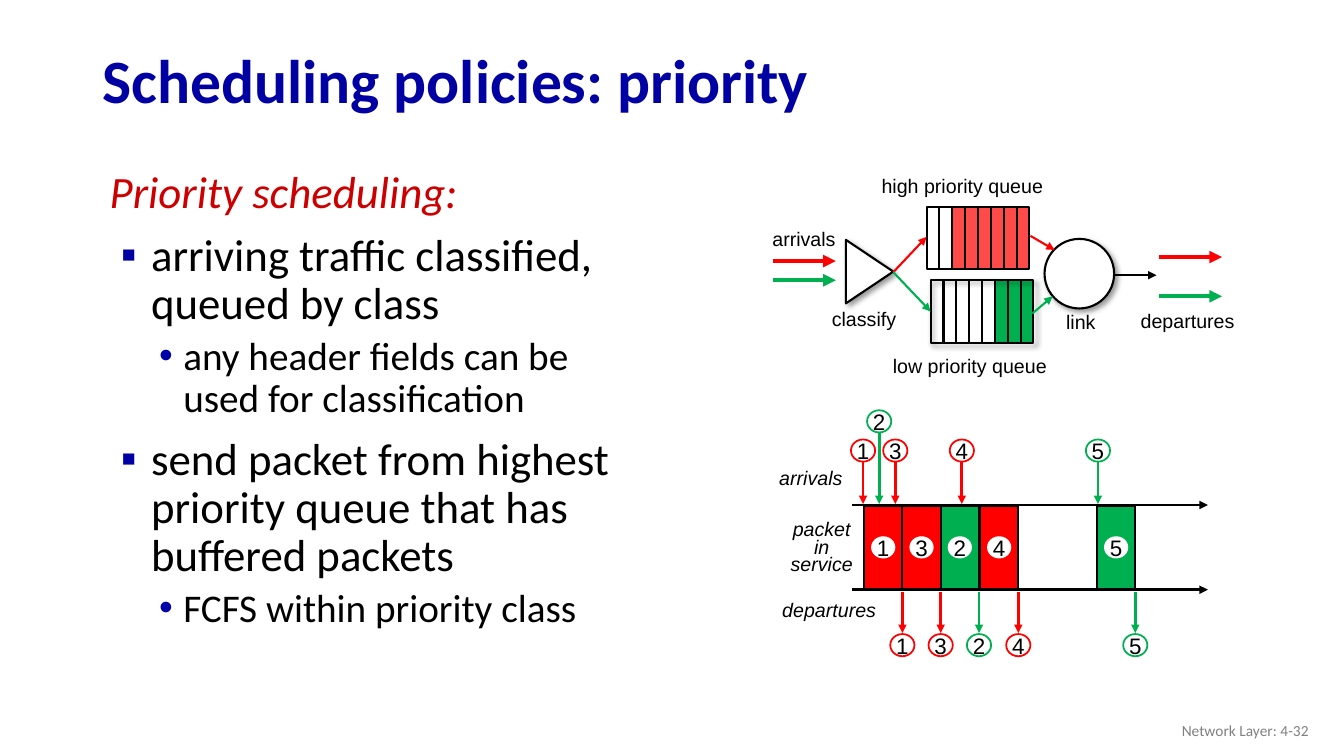
import dataclasses

import lxml.etree
import pptx
import pptx.dml.color
import pptx.enum.shapes
import pptx.enum.text
import pptx.oxml.ns
import pptx.util

PX = 9144  # one hundredth of an inch
KIND = pptx.enum.shapes.MSO_SHAPE
ALIGN = pptx.enum.text.PP_ALIGN
ANCHOR = pptx.enum.text.MSO_ANCHOR


@dataclasses.dataclass(frozen=True)
class Theme:
    heading_font: str = "Calibri"
    diagram_font: str = "Arial"
    title: str = "0000A3"
    subbullet: str = "0000A8"
    accent: str = "CC0000"
    ink: str = "000000"
    paper: str = "FFFFFF"
    footer: str = "808080"
    high: str = "FF0000"
    low: str = "00B050"
    title_size: int = 44
    body_size: int = 32
    subbody_size: int = 28
    label_size: int = 14
    number_size: int = 16
    footer_size: int = 11


THEME = Theme()


def rgb(code):
    return pptx.dml.color.RGBColor.from_string(code)


def add_xml(parent, tag, **attributes):
    return lxml.etree.SubElement(parent, pptx.oxml.ns.qn(tag), attributes)


def write(para, text, size, color, font, bold=False, italic=False):
    span = para.add_run()
    span.text = text
    span.font.size = pptx.util.Pt(size)
    span.font.name = font
    span.font.color.rgb = rgb(color)
    span.font.bold = bold
    span.font.italic = italic


@dataclasses.dataclass
class Region:
    """Places parts at px offsets from the top left corner of its box."""
    shapes: object
    left: int
    top: int
    width: int
    height: int

    def emu(self, x, y):
        return round((self.left + x) * PX), round((self.top + y) * PX)

    def shape(self, kind, x, y, width, height, fill=None, line=None, weight=1.5, shadow=False):
        shape = self.shapes.add_shape(kind, *self.emu(x, y), round(width * PX), round(height * PX))
        shape.shadow.inherit = False
        if fill:
            shape.fill.solid()
            shape.fill.fore_color.rgb = rgb(fill)
        else:
            shape.fill.background()
        if line:
            shape.line.color.rgb = rgb(line)
            shape.line.width = pptx.util.Pt(weight)
        else:
            shape.line.fill.background()
        if shadow:
            effects = shape._element.spPr.find(pptx.oxml.ns.qn("a:effectLst"))
            outer = add_xml(effects, "a:outerShdw", blurRad="50800", dist="38100",
                            dir="2700000", algn="tl", rotWithShape="0")
            color = add_xml(outer, "a:srgbClr", val=THEME.ink)
            add_xml(color, "a:alpha", val="40000")
        return shape

    def line(self, start, end, color, weight=1.5, arrow=True):
        line = self.shapes.add_connector(pptx.enum.shapes.MSO_CONNECTOR.STRAIGHT,
                                         *self.emu(*start), *self.emu(*end))
        line.line.color.rgb = rgb(color)
        line.line.width = pptx.util.Pt(weight)
        if arrow:
            add_xml(line.line._get_or_add_ln(), "a:tailEnd", type="triangle")
        add_xml(line._element.spPr, "a:effectLst")

    def frame(self, x=0, y=0, width=None, height=None, wrap=True, anchor=ANCHOR.TOP):
        box = self.shapes.add_textbox(*self.emu(x, y), (width or self.width) * PX,
                                      (height or self.height) * PX)
        box.text_frame.word_wrap = wrap
        box.text_frame.vertical_anchor = anchor
        return box.text_frame

    def label(self, text, x, y, width, align=ALIGN.CENTER, italic=False):
        para = self.frame(x, y, width, 34, wrap=False).paragraphs[0]
        para.alignment = align
        write(para, text, THEME.label_size, THEME.ink, THEME.diagram_font, italic=italic)

    def packet_number(self, number, center, top, line=None):
        disc = self.shape(KIND.OVAL, center - 12, top, 24, 22, THEME.paper, line, 1.25)
        frame = disc.text_frame
        frame.margin_left = frame.margin_right = frame.margin_top = frame.margin_bottom = 0
        frame.word_wrap = False
        frame.vertical_anchor = ANCHOR.MIDDLE
        para = frame.paragraphs[0]
        para.alignment = ALIGN.CENTER
        write(para, str(number), THEME.number_size, THEME.ink, THEME.diagram_font)


def draw_title(region, text):
    para = region.frame(anchor=ANCHOR.MIDDLE).paragraphs[0]
    para.line_spacing = 0.9
    write(para, text, THEME.title_size, THEME.title, THEME.heading_font, bold=True)


def draw_bullets(region, items):
    """Items are (level, text); level None is the italic lead line."""
    styles = {None: (39, -24, 10, THEME.body_size, THEME.accent, None, None),
              0: (56, -30, 10, THEME.body_size, THEME.ink, "▪", THEME.title),
              1: (88, -24, 5, THEME.subbody_size, THEME.ink, "•", THEME.subbullet)}
    frame = region.frame()
    for index, (level, text) in enumerate(items):
        indent, hanging, space, size, color, bullet, bullet_color = styles[level]
        para = frame.add_paragraph() if index else frame.paragraphs[0]
        para.level = level or 0
        para.line_spacing = 0.9
        para.space_before = pptx.util.Pt(space)
        properties = para._p.get_or_add_pPr()
        properties.set("marL", str(indent * PX))
        properties.set("indent", str(hanging * PX))
        if bullet:
            add_xml(add_xml(properties, "a:buClr"), "a:srgbClr", val=bullet_color)
            add_xml(properties, "a:buFont", typeface=THEME.diagram_font)
            add_xml(properties, "a:buChar", char=bullet)
        else:
            add_xml(properties, "a:buNone")
        write(para, text, size, color, THEME.heading_font, italic=level is None)


def draw_queue(region, color, waiting, opacity=100, shadow=False):
    """A buffer of eight cells, the last ones filled with waiting packets."""
    cells = 8
    step = region.width / cells
    packets = region.shape(KIND.RECTANGLE, (cells - waiting) * step, 0,
                           waiting * step, region.height, color)
    fill = packets._element.spPr.find(".//" + pptx.oxml.ns.qn("a:srgbClr"))
    add_xml(fill, "a:alpha", val=str(opacity * 1000))
    region.shape(KIND.RECTANGLE, 0, 0, region.width, region.height,
                 line=THEME.ink, shadow=shadow)
    for cell in range(1, cells):
        region.line((cell * step, 0), (cell * step, region.height), THEME.ink, arrow=False)


def draw_scheduler(region):
    left, top = region.left, region.top
    draw_queue(Region(region.shapes, left + 163, top + 108, 102, 62), THEME.low, 3, shadow=True)
    draw_queue(Region(region.shapes, left + 159, top + 35, 102, 62), THEME.high, 6, opacity=71)
    classifier = region.shape(KIND.ISOSCELES_TRIANGLE, 71, 76, 63, 47,
                              THEME.paper, THEME.ink, shadow=True)
    classifier.rotation = 90
    region.shape(KIND.OVAL, 276, 67, 69, 69, THEME.paper, THEME.ink, shadow=True)
    for start, end, color in (((126, 100), (159, 65), THEME.high),
                              ((126, 100), (163, 139), THEME.low),
                              ((262, 64), (286, 78), THEME.high),
                              ((264, 141), (284, 124), THEME.low),
                              ((345, 103), (387, 103), THEME.ink)):
        region.line(start, end, color)
    for x, y, color in ((7, 89, THEME.high), (7, 108, THEME.low),
                        (390, 85, THEME.high), (390, 124, THEME.low)):
        region.line((x, y), (x + 62, y), color, 3)
    for text, x, y, width in (("high priority queue", 104, -2, 181),
                              ("low priority queue", 115, 176, 174),
                              ("arrivals", -4, 50, 83), ("classify", 54, 130, 86),
                              ("departures", 361, 132, 114), ("link", 287, 133, 50)):
        region.label(text, x, y, width)


def draw_timeline(region):
    # number, colour, arrival x, arrival disc top, service start x
    packets = ((1, THEME.high, 93, 36, 94), (3, THEME.high, 125, 36, 132),
               (2, THEME.low, 109, 7, 170), (4, THEME.high, 191, 36, 209),
               (5, THEME.low, 326, 36, 325))
    service, arrivals, departures = 38, 101, 185
    for number, color, _, _, start in packets:
        region.shape(KIND.RECTANGLE, start, arrivals + 1, service, 83, color, THEME.ink, 1.25)
        region.packet_number(number, start + service / 2, arrivals + 31)
    for y in (arrivals, departures):
        region.line((82, y), (region.width, y), THEME.ink, 2)
    for number, color, arrival, disc_top, start in packets:
        region.line((arrival, disc_top + 22), (arrival, arrivals - 1), color, 2)
        region.packet_number(number, arrival, disc_top, color)
        end = start + service
        region.line((end, departures + 2), (end, departures + 43), color, 2)
        region.packet_number(number, end, departures + 44, color)
    region.label("arrivals", 0, 57, 88, ALIGN.LEFT, italic=True)
    region.label("departures", 3, 188, 119, ALIGN.LEFT, italic=True)
    para = region.frame(5, 113, 94, 65).paragraphs[0]
    para.alignment = ALIGN.CENTER
    para.line_spacing = pptx.util.Pt(12.8)
    write(para, "packet in service", THEME.label_size, THEME.ink, THEME.diagram_font, italic=True)


def draw_footer(region, text):
    para = region.frame(anchor=ANCHOR.MIDDLE).paragraphs[0]
    para.alignment = ALIGN.RIGHT
    write(para, text, THEME.footer_size, THEME.footer, THEME.heading_font)


def main():
    deck = pptx.Presentation()
    deck.slide_width, deck.slide_height = 1333 * PX, 750 * PX
    page = deck.slides.add_slide(deck.slide_layouts[6])
    shapes = page.shapes
    draw_title(Region(shapes, 92, 34, 1150, 98), "Scheduling policies: priority")
    draw_bullets(Region(shapes, 84, 164, 556, 293), (
        (None, "Priority scheduling:"),
        (0, "arriving traffic classified, queued by class"),
        (1, "any header fields can be used for classification")))
    draw_bullets(Region(shapes, 84, 428, 556, 215), (
        (0, "send packet from highest priority queue that has buffered packets"),
        (1, "FCFS within priority class")))
    draw_scheduler(Region(shapes, 760, 170, 475, 210))
    draw_timeline(Region(shapes, 763, 400, 435, 251))
    draw_footer(Region(shapes, 1008, 705, 300, 40), "Network Layer: 4-32")
    deck.save("out.pptx")


if __name__ == "__main__":
    main()
